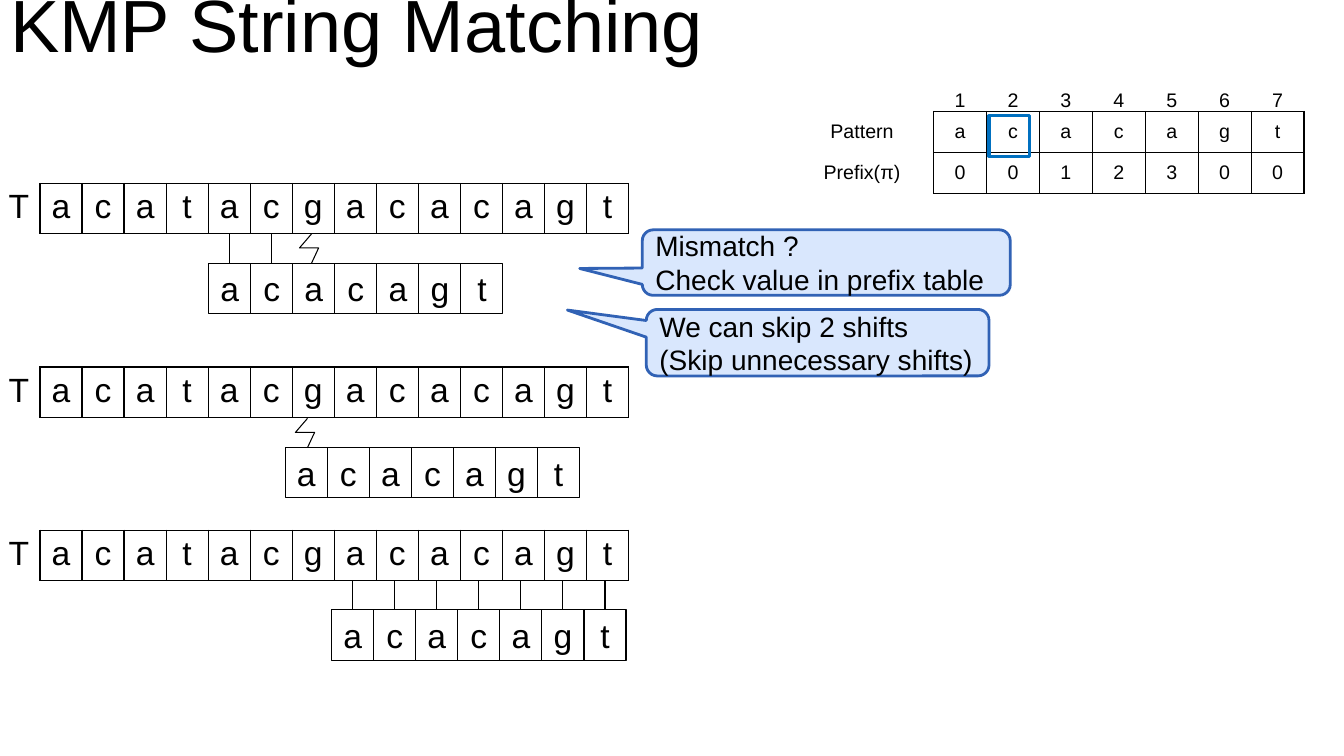
import pptx
import pptx.dml.color
import pptx.enum.shapes
import pptx.enum.text
import pptx.oxml
import pptx.oxml.ns
import pptx.util

Inches = pptx.util.Inches
Pt = pptx.util.Pt
Shape = pptx.enum.shapes.MSO_SHAPE
Align = pptx.enum.text.PP_ALIGN
Anchor = pptx.enum.text.MSO_ANCHOR

TEXT = "acatacgacacagt"
PATTERN = "acacagt"
PREFIX = "0012300"
STEP = 0.417
HIGH = 0.5


def color(code):
    return pptx.dml.color.RGBColor.from_string(code)


class Board:
    face = "Arial"
    ink = "000000"
    thin = 0.75

    def __init__(self, slide):
        self.slide = slide
        self.shapes = slide.shapes

    def style(self, para, size, align):
        para.alignment = align
        para.font.size = Pt(size)
        para.font.name = self.face
        para.font.bold = False
        para.font.color.rgb = color(self.ink)

    def label(self, frame, lines, size, align, anchor):
        frame.word_wrap = True
        frame.vertical_anchor = anchor
        frame.text = "\n".join(lines)
        for para in frame.paragraphs:
            self.style(para, size, align)

    def title(self, words):
        box = self.shapes.title
        box.left, box.top = Inches(0), Inches(0)
        box.width, box.height = Inches(13.33), Inches(0.78)
        frame = box.text_frame
        frame.auto_size = pptx.enum.text.MSO_AUTO_SIZE.NONE
        frame.margin_top = frame.margin_bottom = Inches(0.1)
        self.label(frame, [words], 52.8, Align.LEFT, Anchor.BOTTOM)
        frame.paragraphs[0].line_spacing = 0.9

    def edges(self, cell, sides):
        props = cell._tc.get_or_add_tcPr()
        for side in "LRTB":
            paint = "<a:noFill/>"
            if side in sides:
                paint = f'<a:solidFill><a:srgbClr val="{self.ink}"/></a:solidFill>'
            props.append(pptx.oxml.parse_xml(
                f'<a:ln{side} {pptx.oxml.ns.nsdecls("a")} w="{Pt(1)}">{paint}</a:ln{side}>'))

    def table(self, x, y, rows, widths, height, size, anchor, head=False):
        frame = self.shapes.add_table(
            len(rows), len(widths), Inches(x), Inches(y),
            Inches(sum(widths)), Inches(height * len(rows)))
        grid = frame.table
        grid.first_row = grid.horz_banding = False
        for col, width in zip(grid.columns, widths):
            col.width = Inches(width)
        for r, row in enumerate(rows):
            grid.rows[r].height = Inches(height)
            top = head and r == 0
            for c, word in enumerate(row):
                cell = grid.cell(r, c)
                if top:
                    self.edges(cell, "B" if c else "")
                    cell.margin_bottom = 0
                else:
                    self.edges(cell, "LRTB" if c else "R")
                cell.fill.background()
                cell.vertical_anchor = Anchor.BOTTOM if top else anchor
                cell.text = word
                self.style(cell.text_frame.paragraphs[0], size, Align.CENTER)

    def shape(self, kind, x, y, w, h, line, width, fill=None):
        item = self.shapes.add_shape(kind, Inches(x), Inches(y), Inches(w), Inches(h))
        self.paint(item, line, width, fill)
        return item

    def paint(self, item, line, width, fill=None):
        item.shadow.inherit = False
        item.line.color.rgb = color(line)
        item.line.width = Pt(width)
        if fill:
            item.fill.solid()
            item.fill.fore_color.rgb = color(fill)
        else:
            item.fill.background()

    def cells(self, x, y):
        made = []
        for i, char in enumerate(PATTERN):
            box = self.shape(Shape.RECTANGLE, x + i * STEP, y, STEP, HIGH, self.ink, self.thin)
            self.label(box.text_frame, [char], 24, Align.CENTER, Anchor.MIDDLE)
            made.append(box)
        return made

    def match(self, box):
        mid = box.left + box.width // 2
        link = self.shapes.add_connector(
            pptx.enum.shapes.MSO_CONNECTOR.STRAIGHT,
            mid, box.top, mid, box.top - Inches(0.29))
        link.begin_connect(box, 0)
        link.line.color.rgb = color(self.ink)
        link.line.width = Pt(self.thin)
        link._element.spPr.append(
            pptx.oxml.parse_xml(f'<a:effectLst {pptx.oxml.ns.nsdecls("a")}/>'))

    def bolt(self, x, y):
        pen = self.shapes.build_freeform(Inches(x + 0.12), Inches(y))
        turns = [(0, 0.14), (0.19, 0.14), (0.12, 0.29)]
        pen.add_line_segments([(Inches(x + a), Inches(y + b)) for a, b in turns], close=False)
        self.paint(pen.convert_to_shape(), self.ink, self.thin)

    def callout(self, x, y, w, h, tip, lines):
        box = self.shape(Shape.ROUNDED_RECTANGULAR_CALLOUT, x, y, w, h, "3162B5", 2, "D9E7FD")
        box.adjustments[0], box.adjustments[1] = tip
        self.label(box.text_frame, lines, 20, Align.LEFT, Anchor.MIDDLE)


def main():
    deck = pptx.Presentation()
    deck.slide_width, deck.slide_height = Inches(13.33), Inches(7.5)
    board = Board(deck.slides.add_slide(deck.slide_layouts[5]))
    board.title("KMP String Matching")

    rows = [["", *"1234567"], ["Pattern", *PATTERN], ["Prefix(π)", *PREFIX]]
    board.table(7.84, 0.7, rows, [1.42] + [0.525] * 7, 0.407, 14, Anchor.MIDDLE, True)

    steps = [(1.82, 2.07, 2.61, 2), (3.64, 2.83, 4.44, 0), (5.26, 3.29, 6.05, 7)]
    for top, left, low, hits in steps:
        board.table(-0.02, top, [["T", *TEXT]], [STEP] * 15, HIGH, 24, Anchor.TOP)
        for box in board.cells(left, low)[:hits]:
            board.match(box)

    board.bolt(2.97, 2.32)
    board.bolt(2.93, 4.15)
    board.callout(6.37, 2.28, 3.65, 0.65, (-0.67, 0.09),
                  ["Mismatch ?", "Check value in prefix table"])
    board.callout(6.41, 3.07, 3.4, 0.66, (-0.73, -0.49),
                  ["We can skip 2 shifts", "(Skip unnecessary shifts)"])
    board.shape(Shape.RECTANGLE, 9.81, 1.15, 0.4, 0.4, "0070C0", 2.25)
    deck.save("out.pptx")


if __name__ == "__main__":
    main()
